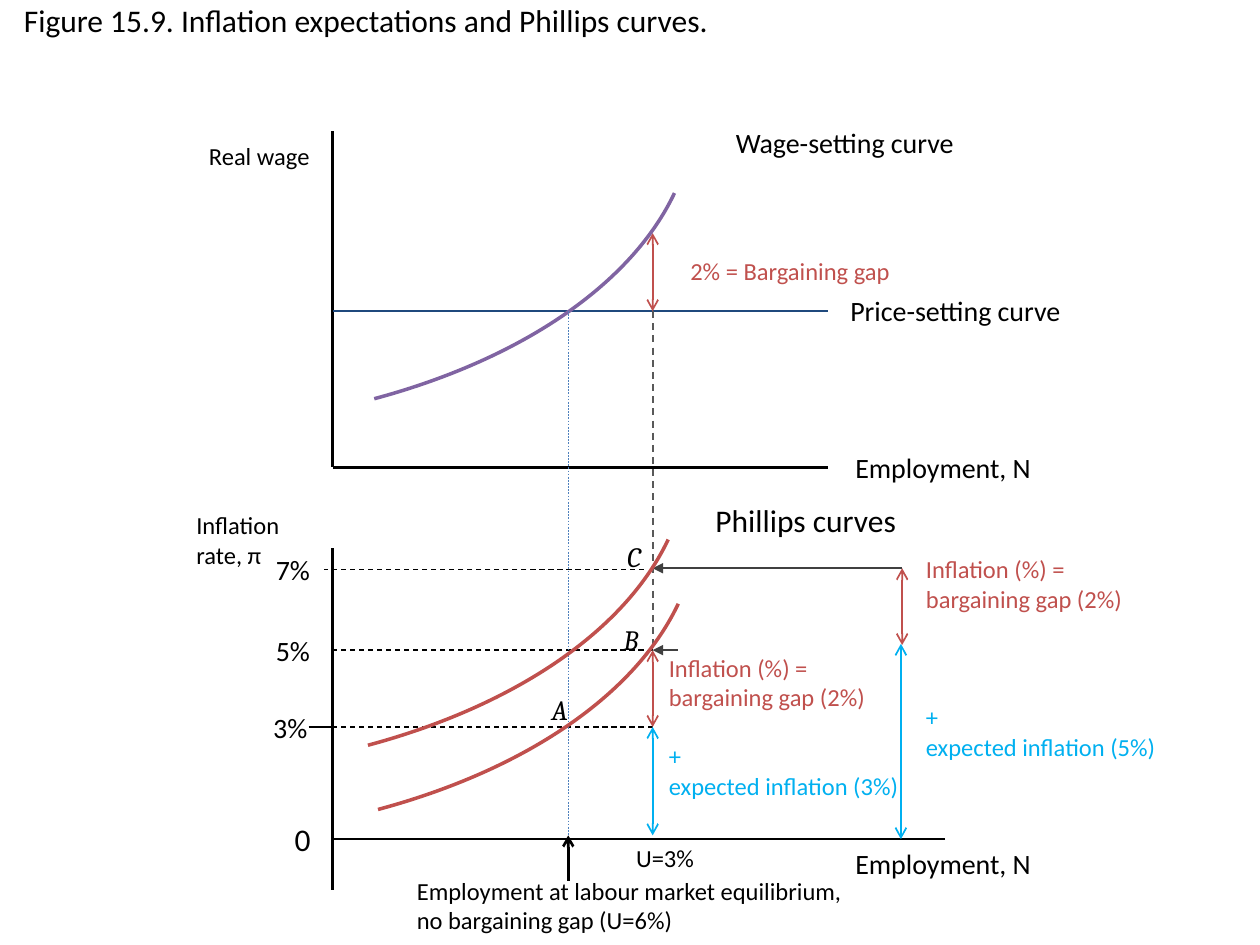
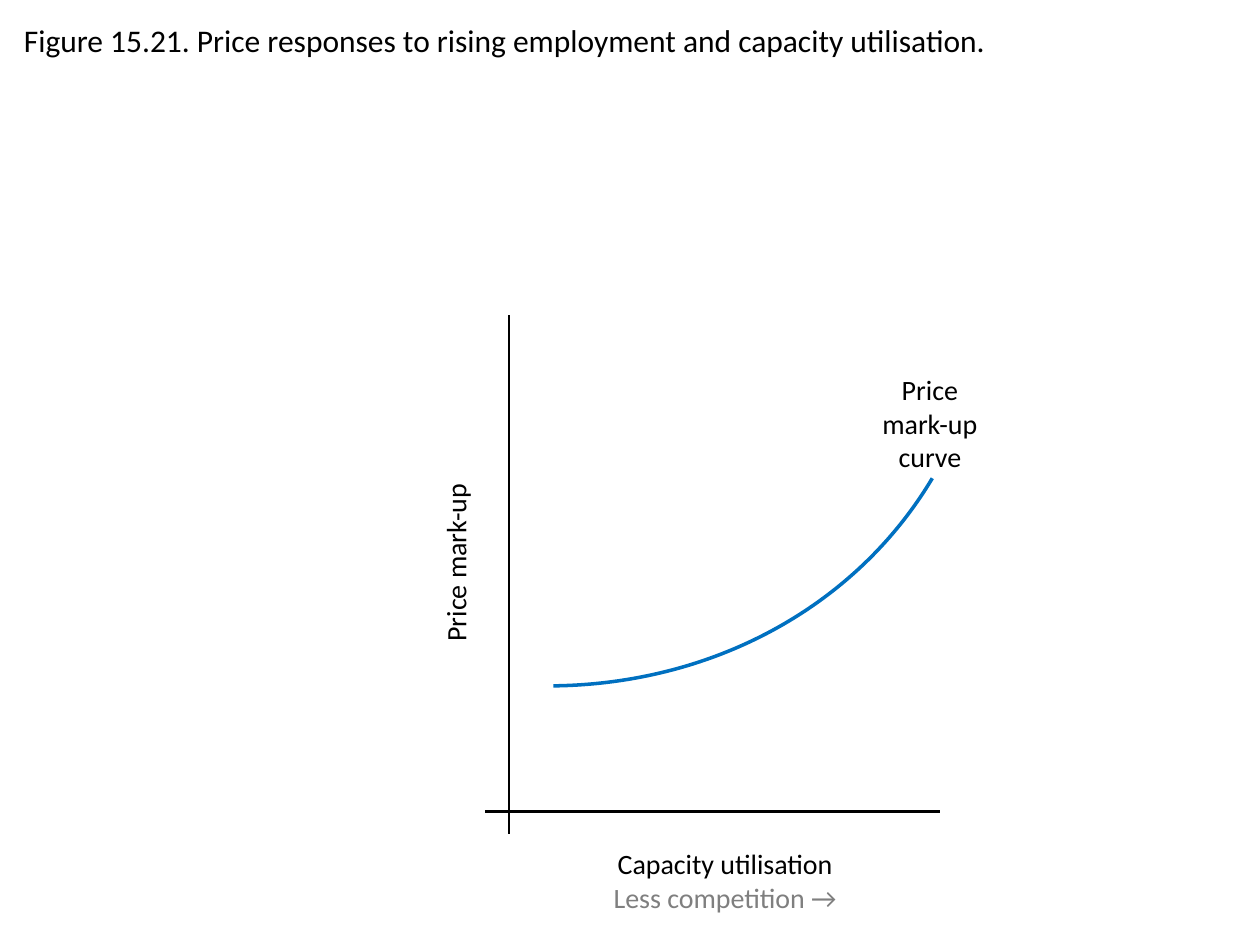
from dataclasses import dataclass

from lxml import etree
from pptx import Presentation
from pptx.dml.color import RGBColor
from pptx.enum.dml import MSO_LINE
from pptx.enum.shapes import MSO_CONNECTOR, MSO_SHAPE
from pptx.enum.text import MSO_ANCHOR, MSO_AUTO_SIZE, PP_ALIGN
from pptx.oxml.ns import qn
from pptx.util import Inches, Pt


@dataclass(frozen=True)
class Theme:
    font: str = "Calibri"
    point_font: str = "Cambria"
    title: int = 18
    label: int = 16
    note: int = 14
    axis: float = 1.5
    curve: float = 2
    dash: float = 0.75
    black: str = "000000"
    navy: str = "1F497D"
    red: str = "C0504D"
    purple: str = "8064A2"
    sky: str = "00B0F0"
    blue: str = "0070C0"
    guide_blue: str = "4F81BD"
    pointer: str = "404040"
    guide_grey: str = "595959"
    grey: str = "7F7F7F"


T = Theme()
LINE_14 = 17  # height in points of one line of note text


@dataclass
class Panel:
    """A region of a slide; all positions are in inches from its top left."""
    slide: object
    left: float
    top: float

    def line(self, x1, y1, x2, y2, color=T.black, width=T.axis,
             dashed=False, head=None, tail=None):
        cx = self.slide.shapes.add_connector(
            MSO_CONNECTOR.STRAIGHT,
            Inches(self.left + x1), Inches(self.top + y1),
            Inches(self.left + x2), Inches(self.top + y2))
        cx.line.color.rgb = RGBColor.from_string(color)
        cx.line.width = Pt(width)
        if dashed:
            cx.line.dash_style = MSO_LINE.DASH
        ln = cx.line._get_or_add_ln()
        for tag, kind in (("a:headEnd", head), ("a:tailEnd", tail)):
            if kind:
                etree.SubElement(ln, qn(tag), type=kind)
        etree.SubElement(cx._element.spPr, qn("a:effectLst"))

    def gap(self, x, y1, y2, color):
        """Vertical double-headed arrow."""
        self.line(x, y1, x, y2, color, 1, head="arrow", tail="arrow")

    def arc(self, x, y, w, h, color, start, end, rotation=0):
        sp = self.slide.shapes.add_shape(
            MSO_SHAPE.ARC, Inches(self.left + x), Inches(self.top + y),
            Inches(w), Inches(h))
        sp.adjustments[0], sp.adjustments[1] = start, end
        sp.rotation = rotation
        sp.shadow.inherit = False
        sp.fill.background()
        sp.line.color.rgb = RGBColor.from_string(color)
        sp.line.width = Pt(T.curve)

    def label(self, text, x, y, w, h, size=T.label, color=T.black,
              align=PP_ALIGN.LEFT, wrap=False, font=T.font, italic=False):
        sp = self.slide.shapes.add_textbox(
            Inches(self.left + x), Inches(self.top + y), Inches(w), Inches(h))
        tf = sp.text_frame
        tf.word_wrap = wrap
        tf.auto_size = MSO_AUTO_SIZE.SHAPE_TO_FIT_TEXT
        tf.text = text
        for p in tf.paragraphs:
            style(p, size, color, align, font)
            p.font.italic = italic
        return sp


def style(p, size, color=T.black, align=PP_ALIGN.LEFT, font=T.font):
    p.alignment = align
    p.font.name = font
    p.font.size = Pt(size)
    p.font.color.rgb = RGBColor.from_string(color)


def add_titled_slide(prs, title, top):
    slide = prs.slides.add_slide(prs.slide_layouts[5])
    sp = slide.shapes.title
    sp.left, sp.top = Inches(0.09), Inches(top)
    sp.width, sp.height = Inches(9.91), Inches(0.4)
    tf = sp.text_frame
    tf.text = title
    tf.word_wrap = True
    tf.auto_size = MSO_AUTO_SIZE.NONE
    tf.vertical_anchor = MSO_ANCHOR.TOP
    style(tf.paragraphs[0], T.title)
    return slide


# Employment levels shared by both stacked diagrams, from the vertical axis
EQUILIBRIUM, LOW_UNEMPLOYMENT = 1.87, 2.54


def rising_curve(panel, x, y, color):
    panel.arc(x, y, 8.76, 5.08, color, 5.424, 30.832)


def labour_market(slide, left, top):
    pn = Panel(slide, left, top)
    width, height, price_y = 3.93, 2.67, 1.43

    # Axes and price-setting line
    pn.line(width, height, 0, height)
    pn.line(0, 0, 0, height)
    pn.line(width, price_y, 0, price_y, T.navy)

    # Bargaining gap
    pn.gap(LOW_UNEMPLOYMENT, 0.81, price_y, T.red)
    pn.label("2% = Bargaining gap", 2.74, 0.94, 1.81, 0.34, T.note, T.red)

    # Names of axes and curves
    pn.label("Real wage", -1.08, 0.03, 1.02, 0.34, T.note)
    pn.label("Employment, N", 4.05, 2.49, 1.62, 0.37)
    pn.label("Price-setting curve", 4.01, 1.24, 2.19, 0.37, wrap=True)
    pn.label("Wage-setting curve", 2.88, -0.09, 2.37, 0.37,
             align=PP_ALIGN.CENTER, wrap=True)
    rising_curve(pn, -5.89, -2.72, T.purple)


def inflation_note(panel, x, y, height, expected, blank_lines):
    """Bargaining gap text with the expected inflation some lines below."""
    sp = panel.label("Inflation (%) =\nbargaining gap (2%)\n+\n"
                     f"expected inflation ({expected})",
                     x, y, 2.05, height, T.note, T.red)
    paragraphs = sp.text_frame.paragraphs
    paragraphs[2].space_before = Pt(blank_lines * LINE_14)
    for p in paragraphs[2:]:
        p.font.color.rgb = RGBColor.from_string(T.sky)


def phillips_curves(slide, left, top):
    pn = Panel(slide, left, top)
    y7, y5, y3, y0 = 0.17, 0.81, 1.42, 2.31
    price_y, bracket = -1.88, 4.52

    # Guides at each inflation rate and employment level
    for y, x1, x2 in ((y7, 2.47, -0.07), (y5, LOW_UNEMPLOYMENT, 0),
                      (y3, LOW_UNEMPLOYMENT, 0)):
        pn.line(x1, y, x2, y, width=T.dash, dashed=True)
    pn.line(LOW_UNEMPLOYMENT, price_y, LOW_UNEMPLOYMENT, y5,
            T.guide_grey, 1, dashed=True)
    pn.line(EQUILIBRIUM, price_y, EQUILIBRIUM, y0,
            T.guide_blue, 0.25, dashed=True)

    # Axes
    pn.line(0, 0, 0, 2.71)
    pn.line(4.86, y0, 0, y0)
    pn.line(-0.19, y3, 0, y3)
    pn.label("Inflation\nrate, π", -1.18, -0.35, 0.87, 0.57, T.note)
    pn.label("Employment, N", 4.05, 2.32, 1.62, 0.37)
    pn.label("Phillips curves", 2.94, -0.42, 1.65, 0.4, T.title)
    pn.label("0", -0.4, 2.11, 0.33, 0.4, T.title)
    for text, x, y in (("7%", -0.55, y7), ("5%", -0.55, y5), ("3%", -0.57, y3)):
        pn.label(text, x, y - 0.18, 0.48, 0.37)

    # Breakdown of inflation at B and at C
    pn.gap(LOW_UNEMPLOYMENT, y5, y3, T.red)
    pn.gap(LOW_UNEMPLOYMENT, y3, 2.28, T.sky)
    pn.gap(bracket, y7 - 0.01, 0.77, T.red)
    pn.gap(bracket - 0.01, 0.76, y0, T.sky)
    for x, y in ((bracket, y7 - 0.01), (2.74, y5)):
        pn.line(x, y, LOW_UNEMPLOYMENT, y, T.pointer, 1.25, tail="triangle")
    inflation_note(pn, 2.57, 0.78, 1.28, "3%", 1)
    inflation_note(pn, 4.61, 0, 1.75, "5%", 3)

    # Points on the curves
    for text, x, y in (("A", 1.64, 1.1), ("B", 2.21, 0.54), ("C", 2.24, -0.12)):
        pn.label(text, x, y, 0.5, 0.37, wrap=True,
                 font=T.point_font, italic=True)

    # Unemployment levels
    pn.line(EQUILIBRIUM, 2.28, EQUILIBRIUM, 2.64, head="arrow")
    pn.label("U=3%", 2.31, 2.29, 0.67, 0.34, T.note)
    pn.label("Employment at labour market equilibrium, "
             "no bargaining gap (U=6%)", 0.57, 2.55, 3.7, 0.57, T.note,
             wrap=True)

    rising_curve(pn, -5.86, -2.77, T.red)
    rising_curve(pn, -5.94, -3.28, T.red)


def price_markup(slide, left, top):
    pn = Panel(slide, left, top)
    axis_y = 3.94
    centred = dict(align=PP_ALIGN.CENTER, wrap=True)

    # Curve and its name
    pn.label("Price\nmark-up\ncurve", 2.78, 0.41, 1.12, 0.91, **centred)
    pn.arc(-3.58, -4.63, 7.09, 7.87, T.blue, 163.017, 195.137, rotation=118.7)

    # Axes, crossing just inside their ends
    pn.line(0, 0, 0, 4.12)
    pn.line(-0.19, axis_y, 3.42, axis_y)
    sp = pn.label("Price mark-up", -2.38, 1.78, 3.91, 0.37, **centred)
    sp.rotation = 270
    sp = pn.label("Capacity utilisation\nLess competition →",
                  0.01, 4.17, 3.41, 0.64, **centred)
    sp.text_frame.paragraphs[1].font.color.rgb = RGBColor.from_string(T.grey)


def main():
    prs = Presentation()
    prs.slide_width, prs.slide_height = Inches(10), Inches(7.5)

    slide = add_titled_slide(
        prs, "Figure 15.9. Inflation expectations and Phillips curves.", -0.04)
    labour_market(slide, 2.64, 1.04)
    phillips_curves(slide, 2.64, 4.35)

    slide = add_titled_slide(
        prs, "Figure 15.21. Price responses to rising employment "
             "and capacity utilisation.", 0.12)
    price_markup(slide, 4.04, 2.5)

    prs.save("out.pptx")


if __name__ == "__main__":
    main()
